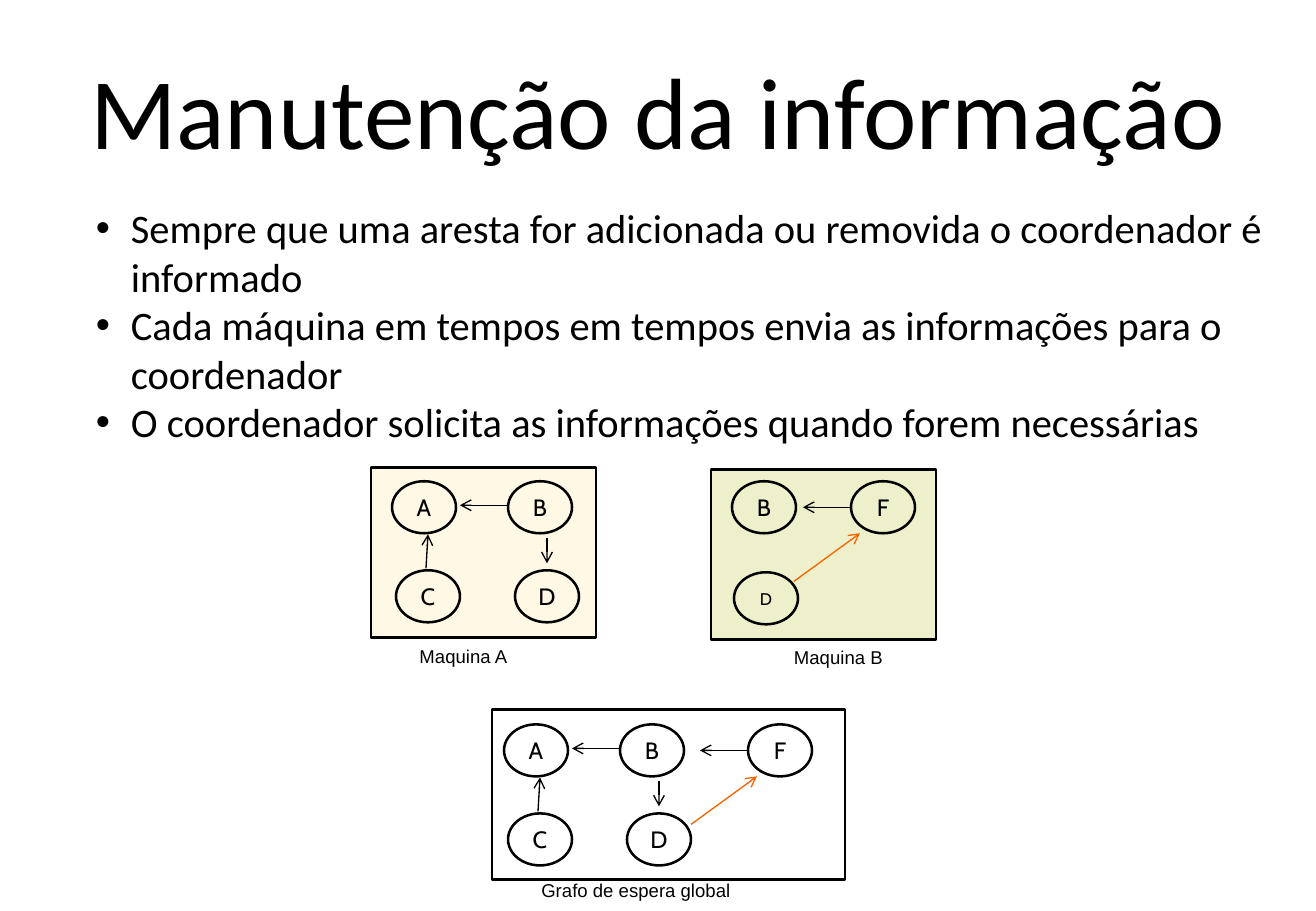
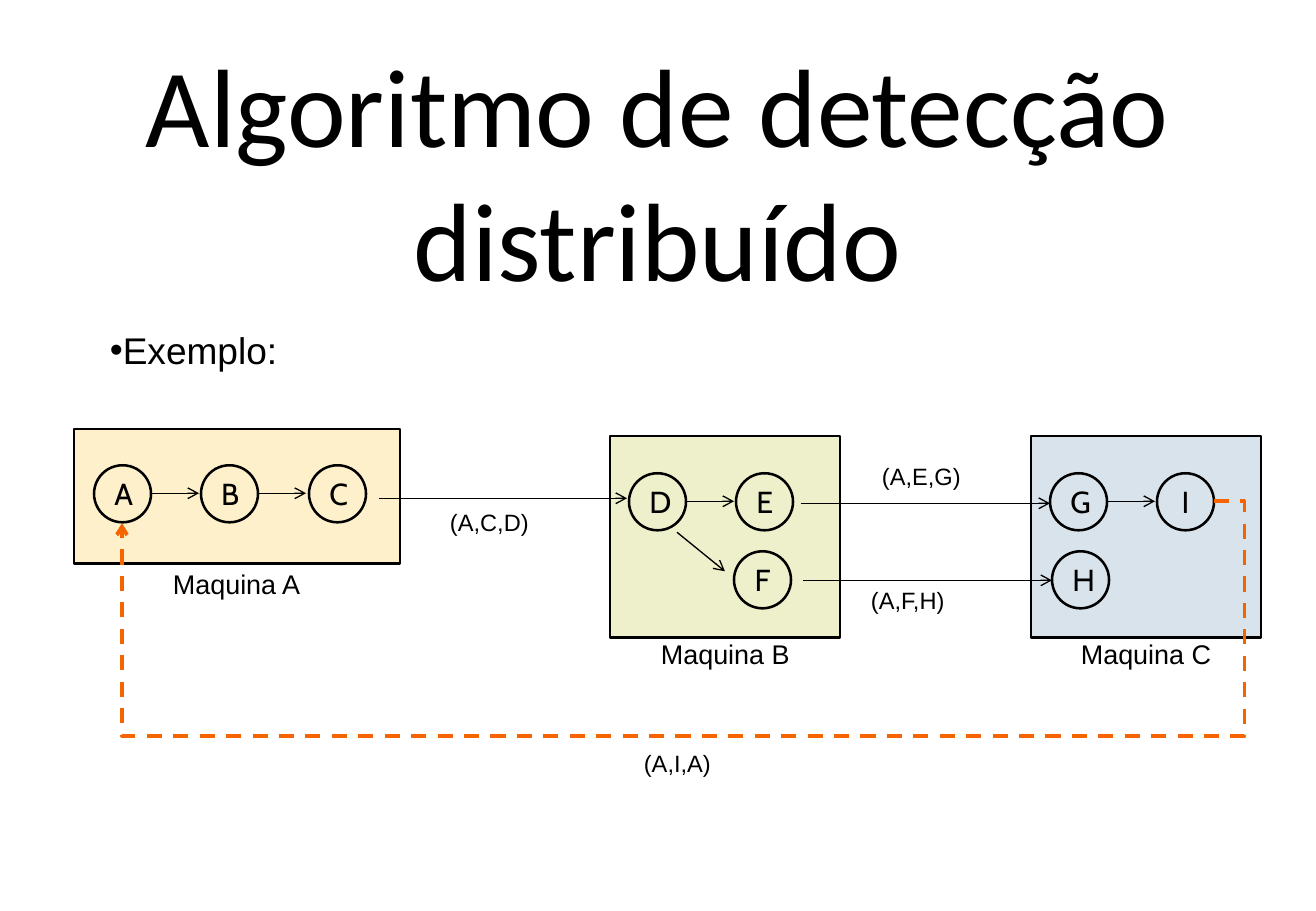
from lxml import etree
from pptx import Presentation
from pptx import util as u
from pptx.dml.color import RGBColor
from pptx.enum import dml, shapes, text
from pptx.oxml.ns import qn

PX = 914400 / 121.4
BLACK = RGBColor(0x00, 0x00, 0x00)
ORANGE = RGBColor(0xF6, 0x64, 0x00)
PALE = RGBColor(0xFE, 0xF8, 0xE4)
CREAM = RGBColor(0xFD, 0xF0, 0xCA)
GREEN = RGBColor(0xED, 0xF0, 0xCA)
BLUE = RGBColor(0xD9, 0xE3, 0xEB)

RECT = shapes.MSO_SHAPE.RECTANGLE
OVAL = shapes.MSO_SHAPE.OVAL
CENTER, LEFT = text.PP_ALIGN.CENTER, text.PP_ALIGN.LEFT
TOP, MIDDLE = text.MSO_ANCHOR.TOP, text.MSO_ANCHOR.MIDDLE

TITLE = dict(font="Calibri", align=CENTER, anchor=MIDDLE)
NODE = dict(kind=OVAL, font="Cabin", align=CENTER, anchor=MIDDLE)
LABEL = dict(font="Arial", wrap=False)


def add(s, box, lines=(), kind=None, fill=None, font="Arial", size=14,
        align=LEFT, anchor=TOP, wrap=True, bullet=None):
    box = [round(v * PX) for v in box]
    if kind is None:
        sp = s.shapes.add_textbox(*box)
    else:
        sp = s.shapes.add_shape(kind, *box)
        sp.shadow.inherit = False
        sp.line.color.rgb = BLACK
        sp.line.width = u.Pt(1.5)
        if fill is None:
            sp.fill.background()
        else:
            sp.fill.solid()
            sp.fill.fore_color.rgb = fill
    tf = sp.text_frame
    tf.word_wrap = wrap
    tf.vertical_anchor = anchor
    for i, line in enumerate(lines):
        p = tf.add_paragraph() if i else tf.paragraphs[0]
        p.alignment = align
        if bullet:
            pPr = p._p.get_or_add_pPr()
            for name, px in zip(("marL", "indent"), bullet):
                pPr.set(name, str(round(px * PX)))
            clr = etree.SubElement(pPr, qn("a:buClr"))
            etree.SubElement(clr, qn("a:srgbClr"), val=str(BLACK))
            etree.SubElement(pPr, qn("a:buFont"), typeface="Arial")
            etree.SubElement(pPr, qn("a:buChar"), char="•")
        r = p.add_run()
        r.text = line
        for name, value in dict(name=font, size=u.Pt(size)).items():
            setattr(r.font, name, value)
        r.font.color.rgb = BLACK


def arrow(s, ends, color=BLACK, width=0.79, kind=shapes.MSO_CONNECTOR.STRAIGHT, dash=None):
    cxn = s.shapes.add_connector(kind, *[round(v * PX) for v in ends])
    for name, value in dict(width=u.Pt(width), dash_style=dash).items():
        setattr(cxn.line, name, value)
    cxn.line.color.rgb = color
    spPr = cxn._element.spPr
    etree.SubElement(spPr.find(qn("a:ln")), qn("a:tailEnd"), type="arrow")
    etree.SubElement(spPr, qn("a:effectLst"))
    return cxn


prs = Presentation()
prs.slide_width, prs.slide_height = u.Inches(10.84), u.Inches(7.5)
blank = prs.slide_layouts[6]

s = prs.slides.add_slide(blank)
add(s, (0, 47, 1315, 123), ["Manutenção da informação"], size=60, **TITLE)
add(s, (47, 197, 1241, 255), [
    "Sempre que uma aresta for adicionada ou removida o coordenador é informado",
    "Cada máquina em tempos em tempos envia as informações para o coordenador",
    "O coordenador solicita as informações quando forem necessárias",
], font="Calibri", size=24, bullet=(72, -35))

for box, fill in [((711, 469, 225, 170), GREEN), ((371, 467, 225, 170), PALE),
                  ((492, 709, 353, 170), None)]:
    add(s, box, kind=RECT, fill=fill)

for name, box in [("Maquina A", (407, 639, 113, 35)), ("Maquina B", (782, 640, 113, 35)),
                  ("Grafo de espera global", (529, 873, 214, 35))]:
    add(s, box, [name], size=11, align=CENTER, **LABEL)

nodes_a = [("A", 392, 481, 14), ("B", 508, 481, 14), ("C", 396, 570, 14), ("D", 515, 570, 14)]
edges_a = [(508, 505, 460, 505, BLACK), (426, 568, 428, 534, BLACK), (547, 538, 547, 563, BLACK)]
nodes_b = [("B", 732, 481, 14), ("F", 851, 481, 14), ("D", 734, 572, 10)]
edges_b = [(851, 507, 803, 507, BLACK), (794, 581, 860, 533, ORANGE)]

for nodes, edges, dx, dy in [(nodes_a, edges_a, 0, 0), (nodes_b, edges_b, 0, 0),
                             (nodes_a, edges_a, 112, 243), (nodes_b[1:2], edges_b, -103, 243)]:
    for name, x, y, size in nodes:
        add(s, (x + dx, y + dy, 64, 52), [name], size=size, **NODE)
    for x1, y1, x2, y2, color in edges:
        arrow(s, (x1 + dx, y1 + dy, x2 + dx, y2 + dy), color)

s = prs.slides.add_slide(blank)
add(s, (0, 34, 1315, 272), ["Algoritmo de detecção distribuído"], size=66, **TITLE)
add(s, (28, 321, 1241, 55), ["Exemplo:"], size=22, bullet=(35, 35))

for box, fill in [((74, 429, 326, 134), CREAM), ((610, 436, 230, 201), GREEN),
                  ((1031, 436, 230, 201), BLUE)]:
    add(s, box, kind=RECT, fill=fill)

for name, x, y in [("A", 94, 465), ("B", 201, 465), ("C", 309, 465),
                   ("D", 629, 473), ("E", 736, 473), ("F", 734, 551),
                   ("G", 1050, 473), ("I", 1157, 473), ("H", 1052, 551)]:
    add(s, (x, y, 57, 57), [name], size=18, **NODE)

for ends in [(151, 493, 199, 493), (259, 493, 306, 493), (686, 501, 734, 501),
             (677, 532, 725, 571), (1107, 501, 1155, 501),
             (379, 498, 627, 498), (801, 503, 1050, 503), (803, 580, 1052, 580)]:
    arrow(s, ends)

loop = arrow(s, (1214, 501, 122, 523), ORANGE, 2.25,
             shapes.MSO_CONNECTOR.ELBOW, dml.MSO_LINE.DASH)
geom = loop._element.spPr.find(qn("a:prstGeom"))
geom.set("prst", "bentConnector4")
guides = geom.find(qn("a:avLst"))
if guides is None:
    guides = etree.SubElement(geom, qn("a:avLst"))
for name, part in [("adj1", -31 / 1092), ("adj2", 235 / 22)]:
    etree.SubElement(guides, qn("a:gd"), name=name, fmla=f"val {round(part * 100000)}")

for name, box, size in [("Maquina A", (161, 561, 153, 45), 16),
                        ("Maquina B", (649, 631, 153, 45), 16),
                        ("Maquina C", (1069, 631, 154, 45), 16),
                        ("(A,C,D)", (438, 502, 103, 41), 14),
                        ("(A,E,G)", (870, 456, 103, 41), 14),
                        ("(A,F,H)", (859, 580, 101, 41), 14),
                        ("(A,I,A)", (632, 743, 91, 41), 14)]:
    add(s, box, [name], size=size, **LABEL)

prs.save("out.pptx")
